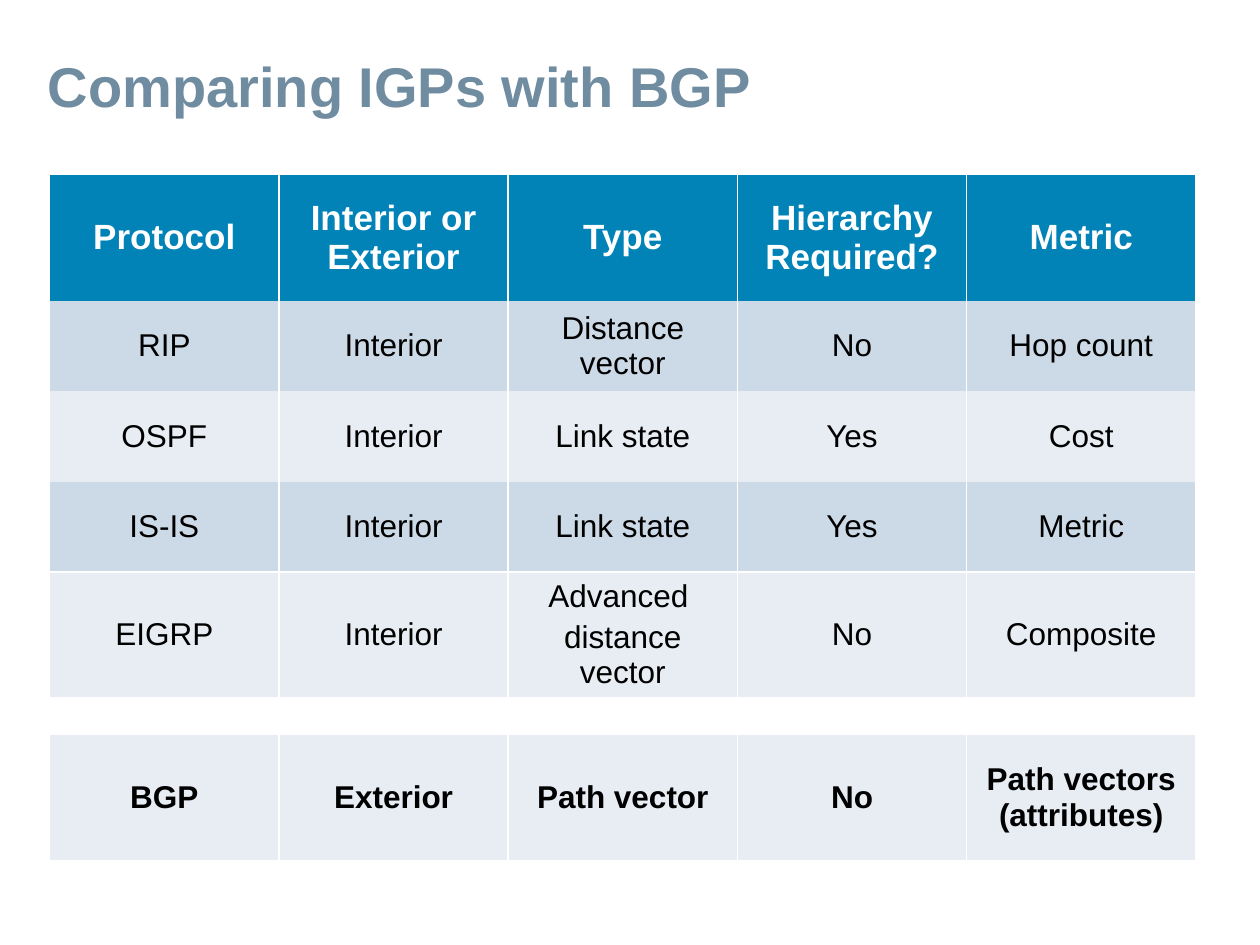
from pptx import Presentation
from pptx.dml.color import RGBColor
from pptx.enum.text import MSO_ANCHOR, PP_ALIGN
from pptx.oxml.ns import qn
from pptx.util import Pt
from lxml.etree import SubElement

SLATE = RGBColor(0x70, 0x8C, 0xA1)
BLUE = RGBColor(0x01, 0x83, 0xB7)
MID = RGBColor(0xCC, 0xD9, 0xE6)
PALE = RGBColor(0xE7, 0xED, 0xF3)
WHITE = RGBColor(0xFF, 0xFF, 0xFF)
BLACK = RGBColor(0x00, 0x00, 0x00)


def write(tf, text, size, color, bold=False, align=PP_ALIGN.LEFT, before=0, spacing=None):
    """Fill a text frame, one paragraph per line of text."""
    tf.word_wrap = True
    for i, line in enumerate(text.split("\n")):
        p = tf.add_paragraph() if i else tf.paragraphs[0]
        p.alignment = align
        p.space_before = Pt(before)
        if spacing:
            p.line_spacing = spacing
        r = p.add_run()
        r.text = line
        r.font.name = "Arial"
        r.font.size = Pt(size)
        r.font.bold = bold
        r.font.color.rgb = color


def set_borders(cell, visible):
    """Draw the named sides in white and switch the other sides off."""
    tcPr = cell._tc.get_or_add_tcPr()
    for side in "LRTB":
        ln = SubElement(tcPr, qn(f"a:ln{side}"), w=str(Pt(1)))
        if side in visible:
            fill = SubElement(ln, qn("a:solidFill"))
            SubElement(fill, qn("a:srgbClr"), val=str(WHITE))
        else:
            SubElement(ln, qn("a:noFill"))


prs = Presentation()
prs.slide_width, prs.slide_height = Pt(720), Pt(540)
s = prs.slides.add_slide(prs.slide_layouts[6])

title = s.shapes.add_textbox(Pt(22.3), Pt(29.5), Pt(671), Pt(43))
title.text_frame.vertical_anchor = MSO_ANCHOR.MIDDLE
title.text_frame.margin_left = Pt(5)
write(title.text_frame, "Comparing IGPs with BGP", 32, SLATE, bold=True, spacing=0.9)

# Each row: height, fill, visible borders, cell texts
ROWS = [
    (72.5, BLUE, "LRT", ["Protocol", "Interior or Exterior", "Type", "Hierarchy Required?", "Metric"]),
    (51.7, MID, "LR", ["RIP", "Interior", "Distance vector", "No", "Hop count"]),
    (51.7, PALE, "LR", ["OSPF", "Interior", "Link state", "Yes", "Cost"]),
    (51.7, MID, "LRB", ["IS-IS", "Interior", "Link state", "Yes", "Metric"]),
    (71.5, PALE, "LRT", ["EIGRP", "Interior", "Advanced \ndistance vector", "No", "Composite"]),
    (21, WHITE, "", [""] * 5),
    (71.5, PALE, "LR", ["BGP", "Exterior", "Path vector", "No", "Path vectors (attributes)"]),
]
HEADER, GAP, BGP = 0, 5, 6
COL_WIDTH = 131

frame = s.shapes.add_table(len(ROWS), 5, Pt(28.4), Pt(99.4), Pt(5 * COL_WIDTH),
                           Pt(sum(row[0] for row in ROWS)))
table = frame.table
table.horz_banding = False
for column in table.columns:
    column.width = Pt(COL_WIDTH)

for i, (height, fill, borders, texts) in enumerate(ROWS):
    table.rows[i].height = Pt(height)
    for cell, text in zip(table.rows[i].cells, texts):
        cell.vertical_anchor = MSO_ANCHOR.MIDDLE
        cell.margin_left = cell.margin_right = Pt(5)
        cell.margin_top = cell.margin_bottom = 0
        set_borders(cell, borders)
        cell.fill.solid()
        cell.fill.fore_color.rgb = fill
        if i == HEADER:
            write(cell.text_frame, text, 20, WHITE, bold=True, align=PP_ALIGN.CENTER)
        elif i != GAP:
            write(cell.text_frame, text, 18, BLACK, bold=i == BGP,
                  align=PP_ALIGN.CENTER, before=3)

table.cell(GAP, 0).merge(table.cell(GAP, 4))

prs.save("out.pptx")
